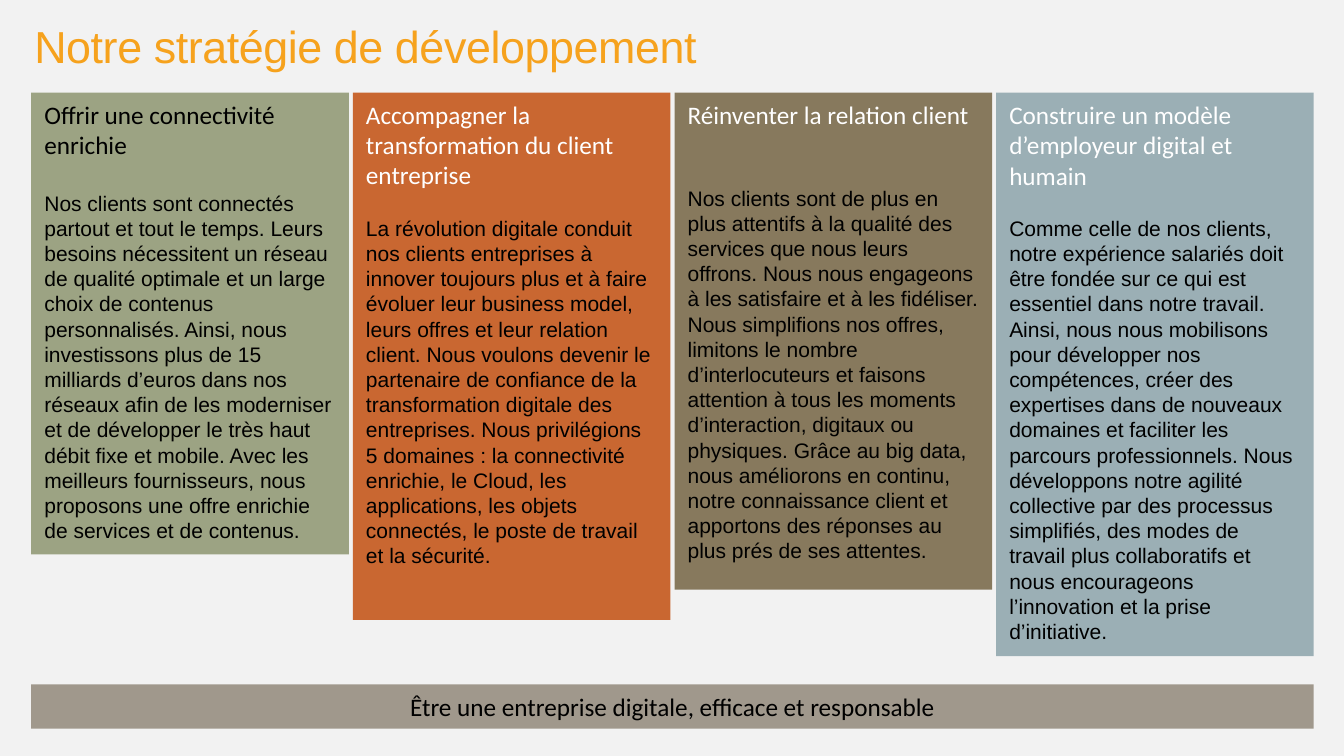
"""Build the development strategy slide: four pillars above a shared foundation."""
from pptx import Presentation
from pptx.dml.color import RGBColor
from pptx.enum.shapes import MSO_SHAPE
from pptx.enum.text import MSO_ANCHOR, MSO_AUTO_SIZE, PP_ALIGN
from pptx.util import Inches, Pt

BACKGROUND = RGBColor(0xF2, 0xF2, 0xF2)
ORANGE = RGBColor(0xF6, 0xA2, 0x1D)
SAGE = RGBColor(0x9C, 0xA3, 0x83)
RUST = RGBColor(0xC9, 0x67, 0x31)
BROWN = RGBColor(0x87, 0x79, 0x5D)
BLUE_GREY = RGBColor(0x9B, 0xAF, 0xB5)
TAUPE = RGBColor(0xA0, 0x98, 0x8C)
BLACK = RGBColor(0x00, 0x00, 0x00)
WHITE = RGBColor(0xFF, 0xFF, 0xFF)

TITLE = "Notre stratégie de développement"
FOUNDATION = "Être une entreprise digitale, efficace et responsable"
PILLARS = [
    {
        "heading": "Offrir une connectivité enrichie",
        "body": "Nos clients sont connectés partout et tout le temps. Leurs besoins "
                "nécessitent un réseau de qualité optimale et un large choix de contenus "
                "personnalisés. Ainsi, nous investissons plus de 15 milliards d’euros dans "
                "nos réseaux afin de les moderniser et de développer le très haut débit fixe "
                "et mobile. Avec les meilleurs fournisseurs, nous proposons une offre "
                "enrichie de services et de contenus.",
        "fill": SAGE, "heading_color": BLACK, "height": 4.58, "gap": 21.5,
    },
    {
        "heading": "Accompagner la transformation du client entreprise",
        "body": "La révolution digitale conduit nos clients entreprises à innover toujours "
                "plus et à faire évoluer leur business model, leurs offres et leur relation "
                "client. Nous voulons devenir le partenaire de confiance de la "
                "transformation digitale des entreprises. Nous privilégions 5 domaines : la "
                "connectivité enrichie, le Cloud, les applications, les objets connectés, le "
                "poste de travail et la sécurité.",
        "fill": RUST, "heading_color": WHITE, "height": 5.23, "gap": 18,
    },
    {
        "heading": "Réinventer la relation client",
        "body": "Nos clients sont de plus en plus attentifs à la qualité des services que "
                "nous leurs offrons. Nous nous engageons à les satisfaire et à les "
                "fidéliser. Nous simplifions nos offres, limitons le nombre "
                "d’interlocuteurs et faisons attention à tous les moments d’interaction, "
                "digitaux ou physiques. Grâce au big data, nous améliorons en continu, notre "
                "connaissance client et apportons des réponses au plus prés de ses attentes.",
        "fill": BROWN, "heading_color": WHITE, "height": 4.93, "gap": 39.5,
    },
    {
        "heading": "Construire un modèle d’employeur digital et humain",
        "body": "Comme celle de nos clients, notre expérience salariés doit être fondée sur "
                "ce qui est essentiel dans notre travail. Ainsi, nous nous mobilisons pour "
                "développer nos compétences, créer des expertises dans de nouveaux domaines "
                "et faciliter les parcours professionnels. Nous développons notre agilité "
                "collective par des processus simplifiés, des modes de travail plus "
                "collaboratifs et nous encourageons l’innovation et la prise d’initiative.",
        "fill": BLUE_GREY, "heading_color": WHITE, "height": 5.59, "gap": 18,
    },
]

SLIDE_WIDTH, SLIDE_HEIGHT = 13.33, 7.5
LEFT, PILLAR_TOP = 0.31, 0.92
PILLAR_WIDTH, GUTTER = 3.15, 0.04
FOUNDATION_TOP, FOUNDATION_HEIGHT = 6.79, 0.44
HEADING_STYLE = ("Calibri", 18, 21.5)
BODY_STYLE = ("Arial", 15, 18)


def prepare_frame(frame, anchor):
    frame.word_wrap = True
    frame.auto_size = MSO_AUTO_SIZE.NONE
    frame.vertical_anchor = anchor
    frame.margin_left = frame.margin_right = Inches(0.13)
    frame.margin_top = frame.margin_bottom = Inches(0.07)


def add_run(paragraph, text, font_name, size, color):
    run = paragraph.add_run()
    run.text = text
    run.font.name = font_name
    run.font.size = Pt(size)
    run.font.color.rgb = color
    return run


def write(paragraph, text, style, color, align=PP_ALIGN.LEFT):
    font_name, size, line_height = style
    paragraph.alignment = align
    paragraph.line_spacing = Pt(line_height)
    add_run(paragraph, text, font_name, size, color)


def add_block(slide, left, top, width, height, fill):
    block = slide.shapes.add_shape(
        MSO_SHAPE.RECTANGLE, Inches(left), Inches(top), Inches(width), Inches(height))
    block.shadow.inherit = False
    block.fill.solid()
    block.fill.fore_color.rgb = fill
    block.line.fill.background()
    prepare_frame(block.text_frame, MSO_ANCHOR.TOP)
    return block.text_frame


def add_title(slide):
    title = slide.shapes.title
    title.left, title.top = Inches(0.21), Inches(0.18)
    title.width, title.height = Inches(12.86), Inches(0.62)
    prepare_frame(title.text_frame, MSO_ANCHOR.MIDDLE)
    paragraph = title.text_frame.paragraphs[0]
    paragraph.alignment = PP_ALIGN.LEFT
    paragraph.line_spacing = 0.9
    run = add_run(paragraph, TITLE, "Arial", 32, ORANGE)
    run.font._element.set("spc", "-30")


def add_pillar(slide, column, pillar):
    left = LEFT + column * (PILLAR_WIDTH + GUTTER)
    frame = add_block(slide, left, PILLAR_TOP, PILLAR_WIDTH, pillar["height"], pillar["fill"])
    write(frame.paragraphs[0], pillar["heading"], HEADING_STYLE, pillar["heading_color"])
    body = frame.add_paragraph()
    body.space_before = Pt(pillar["gap"])
    write(body, pillar["body"], BODY_STYLE, BLACK)


def main():
    deck = Presentation()
    deck.slide_width, deck.slide_height = Inches(SLIDE_WIDTH), Inches(SLIDE_HEIGHT)
    slide = deck.slides.add_slide(deck.slide_layouts[5])
    slide.background.fill.solid()
    slide.background.fill.fore_color.rgb = BACKGROUND

    add_title(slide)
    for column, pillar in enumerate(PILLARS):
        add_pillar(slide, column, pillar)

    total_width = len(PILLARS) * (PILLAR_WIDTH + GUTTER) - GUTTER
    frame = add_block(slide, LEFT, FOUNDATION_TOP, total_width, FOUNDATION_HEIGHT, TAUPE)
    write(frame.paragraphs[0], FOUNDATION, HEADING_STYLE, BLACK, PP_ALIGN.CENTER)
    deck.save("out.pptx")


if __name__ == "__main__":
    main()
